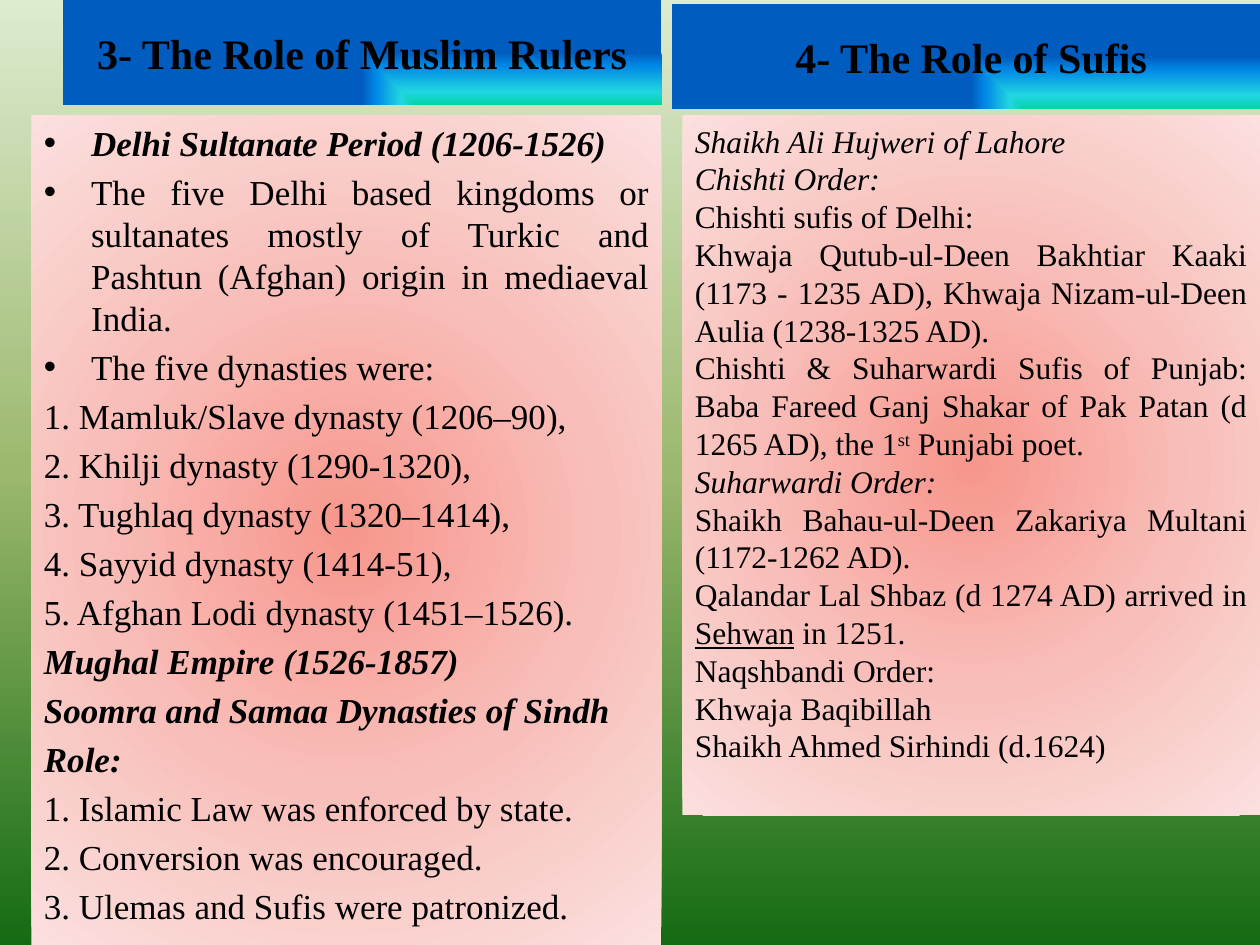
from dataclasses import dataclass

from lxml.etree import SubElement
from pptx import Presentation
from pptx.dml.color import RGBColor
from pptx.enum.shapes import MSO_SHAPE
from pptx.enum.text import MSO_ANCHOR, MSO_AUTO_SIZE, PP_ALIGN
from pptx.oxml.ns import qn
from pptx.util import Pt


@dataclass(frozen=True)
class Theme:
    font: str = "Times New Roman"
    ink: str = "000000"
    heading_size: int = 24
    rulers_size: int = 20
    sufis_size: int = 18
    meadow: tuple = ((0, "DDEBCF"), (50, "9CB86E"), (100, "156B13"))
    ocean: tuple = ((0, "03D4A8"), (25, "21D6E0"), (75, "0087E6"), (100, "005CBF"))
    rose: tuple = ((0, "F7968C"), (50, "F8BFBA"), (100, "FBE0DE"))


THEME = Theme()
BREAK = ("", "break")
CENTER = (50, 50, 50, 50)
BOTTOM_RIGHT = (100, 100, 0, 0)

# Span styles: b bold, i italic, u underline, ^ superscript
RULERS_BULLETS = [
    [("Delhi Sultanate Period (1206-1526)", "bi")],
    [("The five Delhi based kingdoms or sultanates mostly of Turkic and Pashtun "
      "(Afghan) origin in mediaeval India.", "")],
    [("The five dynasties were:", "")],
]
RULERS_LINES = [
    [("1. Mamluk/Slave dynasty (1206–90),", "")],
    [("2. Khilji dynasty (1290-1320),", "")],
    [("3. Tughlaq dynasty (1320–1414),", "")],
    [("4. Sayyid dynasty (1414-51),", "")],
    [("5. Afghan Lodi dynasty (1451–1526).", "")],
    [("Mughal Empire (1526-1857)", "bi")],
    [("Soomra and Samaa Dynasties of Sindh", "bi")],
    [("Role:", "bi")],
    [("1. Islamic Law was enforced by state.", "")],
    [("2. Conversion was encouraged.", "")],
    [("3. Ulemas and Sufis were patronized.", "")],
]
SUFIS_INTRO = [[("Shaikh Ali Hujweri of Lahore", "i"), BREAK, ("Chishti Order:", "i")]]
SUFIS_LINES = [
    [("Chishti sufis of Delhi:", "")],
    [("Khwaja Qutub-ul-Deen Bakhtiar Kaaki (1173 - 1235 AD), "
      "Khwaja Nizam-ul-Deen Aulia (1238-1325 AD).", "")],
    [("Chishti & Suharwardi Sufis of Punjab:", ""), BREAK,
     ("Baba Fareed Ganj Shakar of Pak Patan (d 1265 AD), the 1", ""),
     ("st", "^"), (" Punjabi poet. ", "")],
    [("Suharwardi Order:", "i")],
    [("Shaikh Bahau-ul-Deen Zakariya Multani (1172-1262 AD).", "")],
    [("Qalandar Lal Shbaz (d 1274 AD) arrived in ", ""), ("Sehwan", "u"),
     (" in 1251.", "")],
    [("Naqshbandi Order:", "")],
    [("Khwaja Baqibillah", "")],
    [("Shaikh Ahmed Sirhindi (d.1624) ", "")],
]


def paint_gradient(fill, owner, stops, kind=None, focus=CENTER):
    """Fill with colour stops: top to bottom, or along a path around a focus."""
    fill.gradient()
    gradient = owner.find(".//" + qn("a:gradFill"))
    for child in list(gradient):
        gradient.remove(child)
    stop_list = SubElement(gradient, qn("a:gsLst"))
    for percent, color in stops:
        stop = SubElement(stop_list, qn("a:gs"), pos=str(percent * 1000))
        SubElement(stop, qn("a:srgbClr"), val=color)
    if kind is None:
        SubElement(gradient, qn("a:lin"), ang="5400000", scaled="0")
        return
    shading = SubElement(gradient, qn("a:path"), path=kind)
    sides = {side: str(percent * 1000) for side, percent in zip("ltrb", focus)}
    SubElement(shading, qn("a:fillToRect"), **sides)


def add_spans(para, spans, size):
    for text, style in spans:
        if (text, style) == BREAK:
            para.add_line_break()
            continue
        span = para.add_run()
        span.text = text
        font = span.font
        font.name, font.size = THEME.font, Pt(size)
        font.color.rgb = RGBColor.from_string(THEME.ink)
        font.bold, font.italic, font.underline = (mark in style for mark in "biu")
        if "^" in style:
            span._r.get_or_add_rPr().set("baseline", "30000")


def add_bullet(para, hang=Pt(27)):
    properties = para._p.get_or_add_pPr()
    properties.set("marL", str(hang))
    properties.set("indent", str(-hang))
    SubElement(properties, qn("a:buFont"), typeface="Arial")
    SubElement(properties, qn("a:buChar"), char="•")


def write_paragraphs(box, paragraphs, size, align, gap=0, bulleted=False):
    frame = box.text_frame
    for spans in paragraphs:
        first = not frame.paragraphs[0].runs
        para = frame.paragraphs[0] if first else frame.add_paragraph()
        para.alignment = align
        para.space_before = Pt(gap)
        if bulleted:
            add_bullet(para)
        add_spans(para, spans, size)


def prepare_box(box, left, top, width, height, anchor):
    box.left, box.top, box.width, box.height = map(Pt, (left, top, width, height))
    frame = box.text_frame
    frame.word_wrap = True
    frame.auto_size = MSO_AUTO_SIZE.NONE
    frame.vertical_anchor = anchor


def add_box(slide):
    box = slide.shapes.add_shape(MSO_SHAPE.RECTANGLE, 0, 0, 0, 0)
    box.shadow.inherit = False
    box.line.fill.background()
    return box


def format_heading(box, text, left, top):
    prepare_box(box, left, top, 342, 60, MSO_ANCHOR.MIDDLE)
    paint_gradient(box.fill, box._element, THEME.ocean, "rect", BOTTOM_RIGHT)
    write_paragraphs(box, [[(text, "b")]], THEME.heading_size, PP_ALIGN.CENTER)


def add_panel(slide, left, width, height):
    panel = add_box(slide)
    prepare_box(panel, left, 66, width, height, MSO_ANCHOR.TOP)
    paint_gradient(panel.fill, panel._element, THEME.rose, "circle")
    return panel


def main():
    deck = Presentation()
    deck.slide_width, deck.slide_height = Pt(720), Pt(540)
    slide = deck.slides.add_slide(deck.slide_layouts[5])
    paint_gradient(slide.background.fill, slide._element, THEME.meadow)

    format_heading(slide.shapes.title, "3- The Role of Muslim Rulers", 36, 0)

    rulers = add_panel(slide, 18, 360, 474)
    write_paragraphs(rulers, RULERS_BULLETS, THEME.rulers_size, PP_ALIGN.JUSTIFY,
                     gap=4, bulleted=True)
    write_paragraphs(rulers, RULERS_LINES, THEME.rulers_size, PP_ALIGN.JUSTIFY, gap=4)

    sufis = add_panel(slide, 390, 330, 400)
    write_paragraphs(sufis, SUFIS_INTRO, THEME.sufis_size, PP_ALIGN.LEFT)
    write_paragraphs(sufis, SUFIS_LINES, THEME.sufis_size, PP_ALIGN.JUSTIFY)

    format_heading(add_box(slide), "4- The Role of Sufis", 384, 2.25)
    deck.save("out.pptx")


if __name__ == "__main__":
    main()
